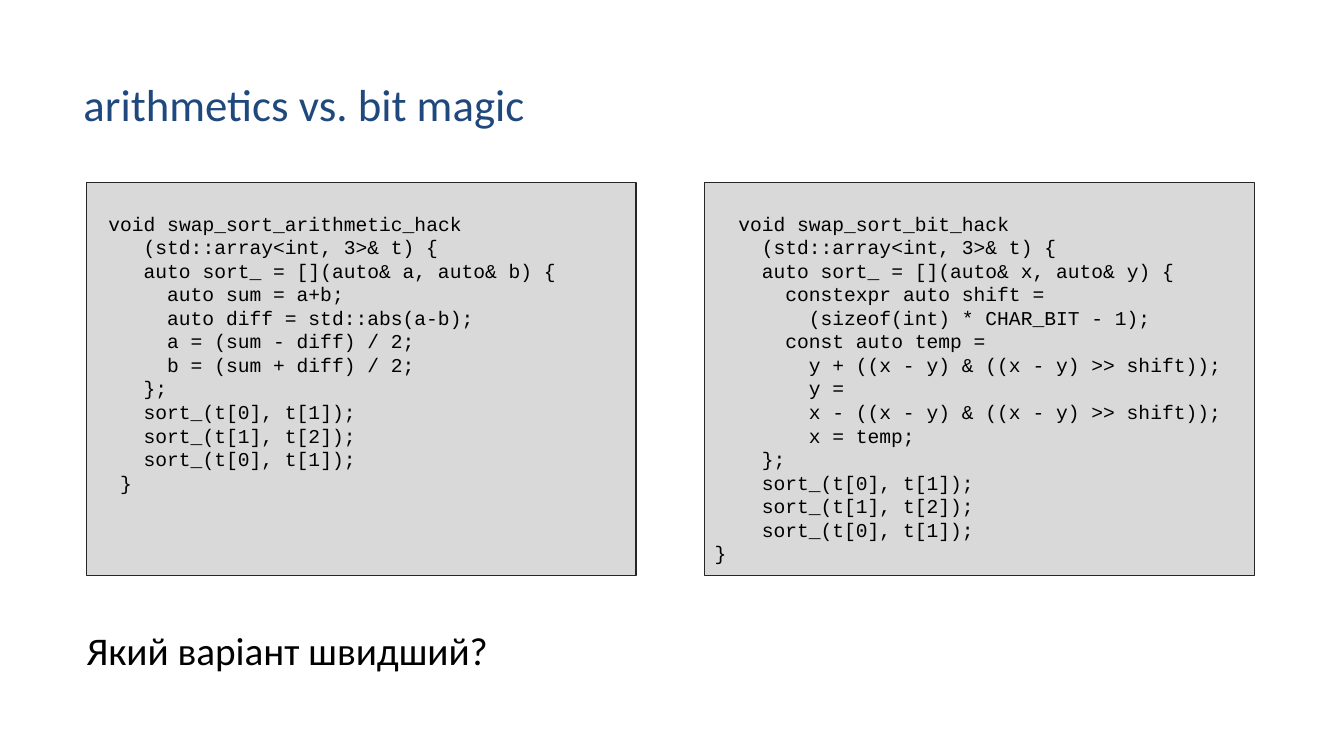
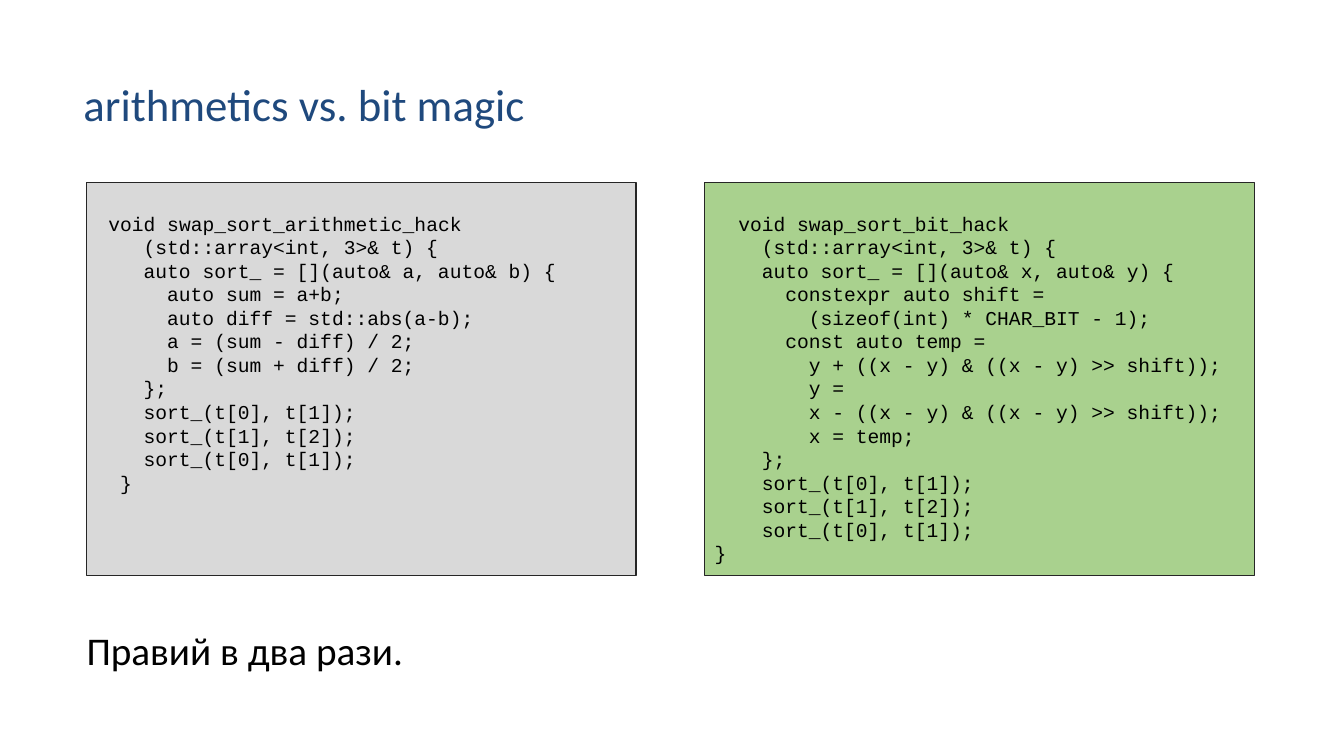
from pptx import Presentation
from pptx.dml.color import RGBColor
from pptx.enum.shapes import MSO_SHAPE
from pptx.enum.text import MSO_ANCHOR, MSO_AUTO_SIZE, PP_ALIGN
from pptx.util import Inches, Pt

NAVY, BLACK, BORDER = "1F497D", "000000", "262626"
GRAY, GREEN = "D9D9D9", "A9D18E"
TEXT_FONT, CODE_FONT = "Calibri", "Courier New"
CODE_SIZE = 14
CODE_CHARACTER_WIDTH = 0.6  # share of the font size

TITLE = "arithmetics vs. bit magic"
PANEL_LEFT, PANEL_TOP, PANEL_WIDTH, PANEL_HEIGHT = 0.86, 1.81, 5.45, 3.9
PANEL_GAP = 0.68

ARITHMETIC_CODE = """\
 void swap_sort_arithmetic_hack
    (std::array<int, 3>& t) {
    auto sort_ = [](auto& a, auto& b) {
      auto sum = a+b;
      auto diff = std::abs(a-b);
      a = (sum - diff) / 2;
      b = (sum + diff) / 2;
    };
    sort_(t[0], t[1]);
    sort_(t[1], t[2]);
    sort_(t[0], t[1]);
  }"""

BIT_CODE = """\
  void swap_sort_bit_hack
    (std::array<int, 3>& t) {
    auto sort_ = [](auto& x, auto& y) {
      constexpr auto shift =
        (sizeof(int) * CHAR_BIT - 1);
      const auto temp =
        y + ((x - y) & ((x - y) >> shift));
        y =
        x - ((x - y) & ((x - y) >> shift));
        x = temp;
    };
    sort_(t[0], t[1]);
    sort_(t[1], t[2]);
    sort_(t[0], t[1]);
}"""

# Remark below the panels and fill of the bit magic panel, slide by slide
SLIDES = [
    ("Який варіант швидший?", GRAY),
    ("Правий в два рази.", GREEN),
]


def color(hex_string):
    return RGBColor.from_string(hex_string)


def write(paragraph, text, *, size, font=TEXT_FONT, text_color=BLACK):
    paragraph.alignment = PP_ALIGN.LEFT
    run = paragraph.add_run()
    run.text = text
    run.font.size = Pt(size)
    run.font.name = font
    run.font.color.rgb = color(text_color)


def add_label(slide, text, left, top, width, height, *, wrap=True, **text_format):
    box = slide.shapes.add_textbox(*map(Inches, (left, top, width, height)))
    frame = box.text_frame
    frame.word_wrap = wrap
    frame.auto_size = MSO_AUTO_SIZE.SHAPE_TO_FIT_TEXT
    write(frame.paragraphs[0], text, **text_format)


def write_code_line(paragraph, line):
    """Turns the leading spaces of the line into a paragraph indent."""
    code = line.lstrip()
    indent = (len(line) - len(code)) * CODE_SIZE * CODE_CHARACTER_WIDTH
    properties = paragraph._p.get_or_add_pPr()
    properties.set("marL", str(int(Pt(indent))))
    properties.set("indent", "0")
    write(paragraph, code, size=CODE_SIZE, font=CODE_FONT)


def add_code_panel(slide, code, left, top, width, height, *, fill):
    panel = slide.shapes.add_shape(
        MSO_SHAPE.RECTANGLE, *map(Inches, (left, top, width, height)))
    panel.shadow.inherit = False
    panel.fill.solid()
    panel.fill.fore_color.rgb = color(fill)
    panel.line.color.rgb = color(BORDER)
    panel.line.width = Pt(1)
    frame = panel.text_frame
    frame.word_wrap = True
    frame.vertical_anchor = MSO_ANCHOR.TOP
    frame.margin_top = Inches(0.29)
    for number, line in enumerate(code.splitlines()):
        paragraph = frame.add_paragraph() if number else frame.paragraphs[0]
        write_code_line(paragraph, line)


def add_comparison_slide(presentation, remark, bit_fill):
    slide = presentation.slides.add_slide(presentation.slide_layouts[6])
    add_label(slide, TITLE, 0.73, 0.71, 4.8, 0.64,
              wrap=False, size=32, text_color=NAVY)
    panels = [(ARITHMETIC_CODE, GRAY), (BIT_CODE, bit_fill)]
    for column, (code, fill) in enumerate(panels):
        left = PANEL_LEFT + column * (PANEL_WIDTH + PANEL_GAP)
        add_code_panel(slide, code, left, PANEL_TOP, PANEL_WIDTH, PANEL_HEIGHT,
                       fill=fill)
    add_label(slide, remark, 0.76, 6.16, 8.38, 0.57, size=28)


def main():
    presentation = Presentation()
    presentation.slide_width = Inches(13.33)
    presentation.slide_height = Inches(7.5)
    for remark, bit_fill in SLIDES:
        add_comparison_slide(presentation, remark, bit_fill)
    presentation.save("out.pptx")


if __name__ == "__main__":
    main()
